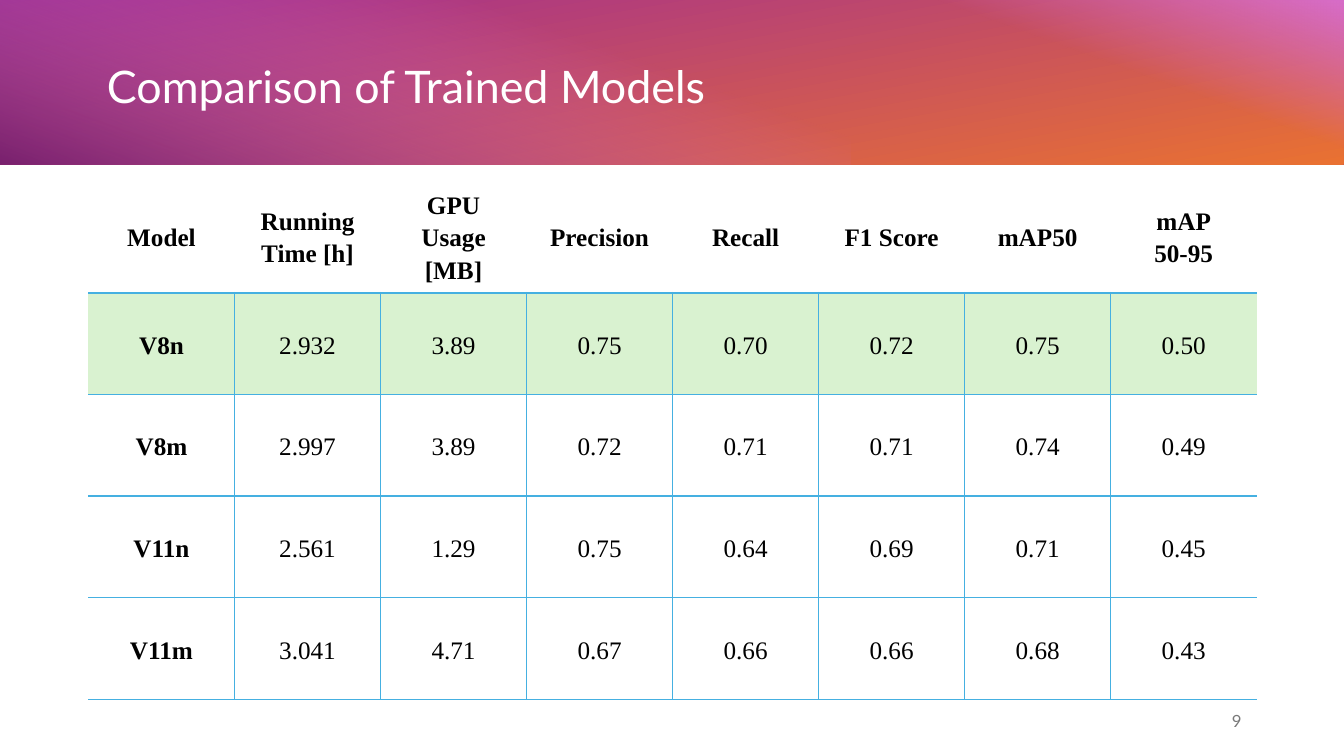
from lxml import etree
from pptx import Presentation
from pptx import util as u
from pptx.dml.color import RGBColor
from pptx.enum import shapes, text
from pptx.oxml.ns import qn

BLUE = "45B0E1"
HEADERS = ["Model", "Running Time [h]", "GPU Usage [MB]", "Precision",
           "Recall", "F1 Score", "mAP50", "mAP\n50-95"]
RESULTS = [
    ["V8n", "2.932", "3.89", "0.75", "0.70", "0.72", "0.75", "0.50"],
    ["V8m", "2.997", "3.89", "0.72", "0.71", "0.71", "0.74", "0.49"],
    ["V11n", "2.561", "1.29", "0.75", "0.64", "0.69", "0.71", "0.45"],
    ["V11m", "3.041", "4.71", "0.67", "0.66", "0.66", "0.68", "0.43"],
]
BEST_MODEL = "V8n"


def color(hex_value):
    return RGBColor.from_string(hex_value)


def place(shape, left, top, width, height):
    shape.left, shape.top = u.Cm(left), u.Cm(top)
    shape.width, shape.height = u.Cm(width), u.Cm(height)


def format_text(text_frame, font_name, size, hex_value, align, bold=False, spacing=1.0):
    for paragraph in text_frame.paragraphs:
        paragraph.alignment = align
        paragraph.line_spacing = spacing
        for run in paragraph.runs:
            run.font.name = font_name
            run.font.size = u.Pt(size)
            run.font.bold = bold
            run.font.color.rgb = color(hex_value)


def add_gradient_band(group, box, rotation, angle, start, end, fade_from=None):
    band = group.shapes.add_shape(shapes.MSO_SHAPE.RECTANGLE, *map(u.Cm, box))
    band.rotation = rotation
    band.shadow.inherit = False
    band.line.fill.background()
    band.fill.gradient()
    band.fill.gradient_angle = 360 - angle
    first, last = band.fill.gradient_stops
    first.color.rgb, last.color.rgb = color(start), color(end)
    first.position, last.position = fade_from or 0, 1
    if fade_from is not None:
        start_color = next(band.element.iter(qn("a:srgbClr")))
        etree.SubElement(start_color, qn("a:alpha"), val="0")


def add_banner(slide):
    group = slide.shapes.add_group_shape()
    add_gradient_band(group, (14.83, -14.9, 4.2, 33.87), 270, 170, "A02B93", "E97132")
    add_gradient_band(group, (24.77, -5, 4.19, 14.07), 270, 20, "D86ECC", "D86ECC", 0.59)
    add_gradient_band(group, (8.61, -8.68, 4.2, 21.44), 90, 20, "D86ECC", "78206E", 0.29)
    slide.shapes.title.element.addprevious(group.element)


def add_title(slide, wording):
    title = slide.shapes.title
    place(title, 2.44, 0.84, 29.11, 2.79)
    title.text_frame.text = wording
    title.text_frame.vertical_anchor = text.MSO_ANCHOR.MIDDLE
    format_text(title.text_frame, "Lato", 32, "FFFFFF", text.PP_ALIGN.LEFT, spacing=0.9)


def set_borders(cell, widths):
    properties = cell._tc.get_or_add_tcPr()
    for side in "LRTB":
        width = widths.get(side, 0)
        line = etree.SubElement(properties, qn(f"a:ln{side}"), w=str(u.Pt(width)))
        if width:
            fill = etree.SubElement(line, qn("a:solidFill"))
            etree.SubElement(fill, qn("a:srgbClr"), val=BLUE)
        else:
            etree.SubElement(line, qn("a:noFill"))


def border_widths(row, column):
    if row == 0:
        return {"B": 1.5}
    widths = {"T": 1.5 if row == 1 else 1, "B": 1}
    if column > 0:
        widths["L"] = 1
    if column < len(HEADERS) - 1:
        widths["R"] = 1
    return widths


def fill_cell(cell, wording, row, column):
    cell.text_frame.text = wording
    cell.vertical_anchor = text.MSO_ANCHOR.MIDDLE
    cell.margin_left = cell.margin_right = u.Cm(0.3)
    cell.margin_top = cell.margin_bottom = 0
    format_text(cell.text_frame, "Times New Roman", 18, "000000", text.PP_ALIGN.CENTER,
                bold=row == 0 or column == 0, spacing=1.15)
    set_borders(cell, border_widths(row, column))


def add_results_table(slide):
    rows = [HEADERS] + RESULTS
    frame = slide.shapes.add_table(len(rows), len(HEADERS), u.Cm(2.23), u.Cm(4.53),
                                   u.Cm(29.44), u.Cm(13.09))
    table = frame.table
    table.first_row = table.horz_banding = False
    for column in table.columns:
        column.width = u.Cm(3.68)
    for row, values in enumerate(rows):
        table.rows[row].height = u.Cm(2.85 if row == 0 else 2.56)
        for column, value in enumerate(values):
            cell = table.cell(row, column)
            fill_cell(cell, value, row, column)
            cell.fill.solid()
            cell.fill.fore_color.rgb = color("D9F2D0" if values[0] == BEST_MODEL else "FFFFFF")


def add_page_number(slide, number):
    box = slide.shapes.add_textbox(u.Cm(23.92), u.Cm(17.66), u.Cm(7.62), u.Cm(1.01))
    box.text_frame.word_wrap = True
    box.text_frame.vertical_anchor = text.MSO_ANCHOR.MIDDLE
    box.text_frame.text = number
    format_text(box.text_frame, "Lato", 12, "797979", text.PP_ALIGN.RIGHT)


def main():
    presentation = Presentation()
    presentation.slide_width, presentation.slide_height = u.Cm(33.87), u.Cm(19.05)
    slide = presentation.slides.add_slide(presentation.slide_layouts[5])
    add_banner(slide)
    add_title(slide, "Comparison of Trained Models")
    add_results_table(slide)
    add_page_number(slide, "9")
    presentation.save("out.pptx")


if __name__ == "__main__":
    main()
